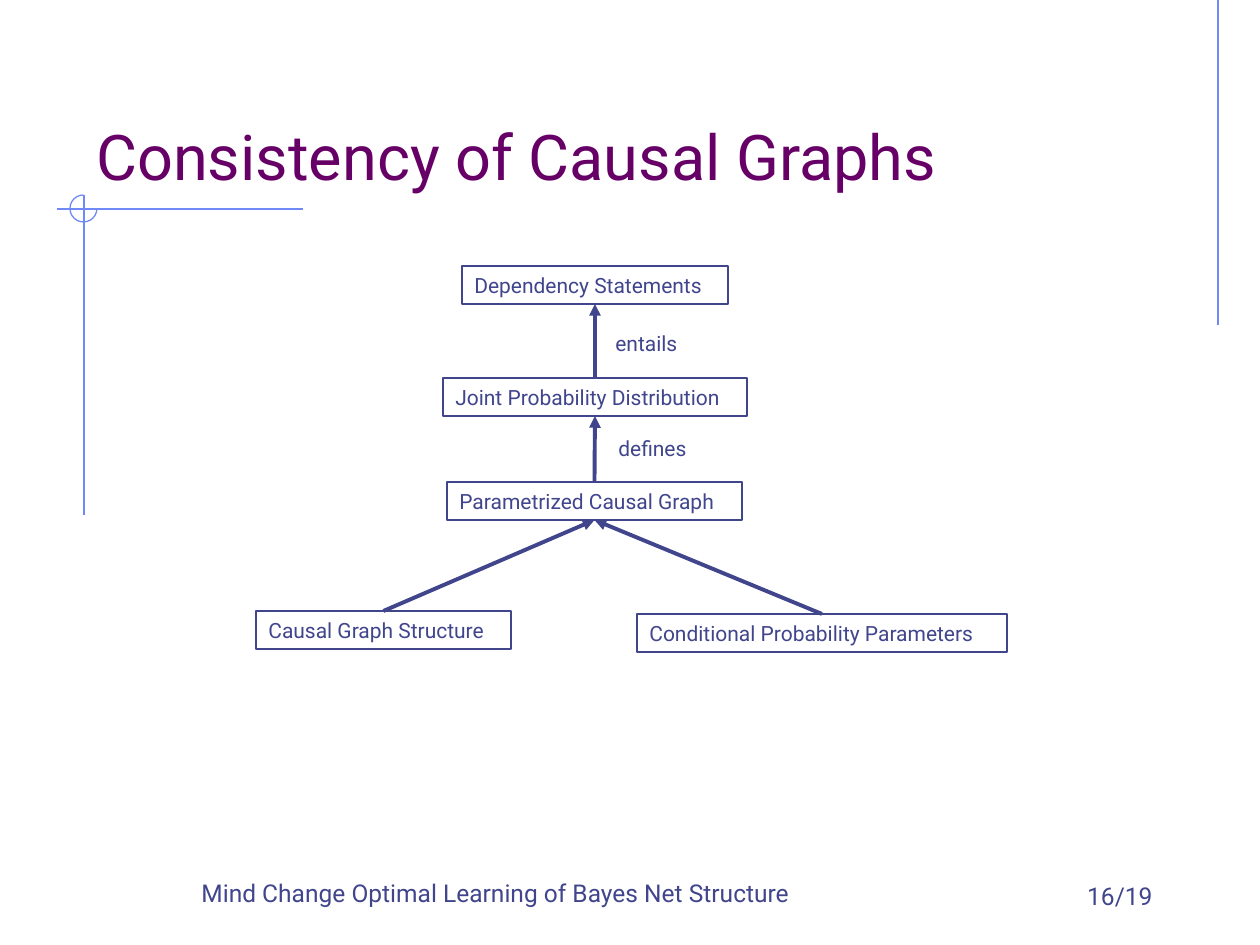
import pptx
import pptx.dml.color
import pptx.enum.shapes
import pptx.enum.text
import pptx.oxml
import pptx.util
from dataclasses import dataclass

SHAPE = pptx.enum.shapes.MSO_SHAPE
ALIGN = pptx.enum.text.PP_ALIGN
ANCHOR = pptx.enum.text.MSO_ANCHOR
NS = 'xmlns:a="http://schemas.openxmlformats.org/drawingml/2006/main"'


@dataclass(frozen=True)
class Theme:
    font: str = "Roboto"
    ink: str = "40458C"
    title: str = "660066"
    accent: str = "6F89F7"
    title_pt: int = 36
    footer_pt: int = 14
    body_pt: int = 12
    thin_pt: float = 0.75
    arrow_pt: float = 2.25


def px(n):
    """Pixels at 126 to the inch, as EMU."""
    return pptx.util.Emu(round(n * 914400 / 126))


def rgb(value):
    return pptx.dml.color.RGBColor.from_string(value)


def set_all(target, values):
    for name, value in values.items():
        setattr(target, name, value)


class Painter:
    def __init__(self, slide, theme):
        self.slide, self.theme = slide, theme

    def stroke(self, sp, color, width):
        sp.line.color.rgb = rgb(color)
        sp.line.width = pptx.util.Pt(width)

    def fill_text(self, sp, text, size, color, align=ALIGN.LEFT, anchor=ANCHOR.MIDDLE, wrap=True):
        tf = sp.text_frame
        set_all(tf, {"word_wrap": wrap, "vertical_anchor": anchor})
        p = tf.paragraphs[0]
        p.alignment = align
        r = p.add_run()
        r.text = text
        set_all(r.font, {"name": self.theme.font, "size": pptx.util.Pt(size)})
        r.font.color.rgb = rgb(color)

    def text(self, box, text, size, color, **layout):
        sp = self.slide.shapes.add_textbox(*map(px, box))
        self.fill_text(sp, text, size, color, **layout)

    def shape(self, kind, box, color):
        """An unfilled outline shape."""
        sp = self.slide.shapes.add_shape(kind, *map(px, box))
        sp.shadow.inherit = False
        sp.fill.background()
        self.stroke(sp, color, self.theme.thin_pt)
        return sp

    def node(self, box, text):
        sp = self.shape(SHAPE.RECTANGLE, box, self.theme.ink)
        self.fill_text(sp, text, self.theme.body_pt, self.theme.ink)

    def line(self, start, end, color, width):
        straight = pptx.enum.shapes.MSO_CONNECTOR.STRAIGHT
        sp = self.slide.shapes.add_connector(straight, *map(px, (*start, *end)))
        self.stroke(sp, color, width)
        sp._element.spPr.append(pptx.oxml.parse_xml(f"<a:effectLst {NS}/>"))
        return sp

    def arrow(self, start, end):
        sp = self.line(start, end, self.theme.ink, self.theme.arrow_pt)
        sp._element.spPr.get_or_add_ln().append(
            pptx.oxml.parse_xml(f'<a:tailEnd {NS} type="triangle"/>'))

    def corner_ring(self, box):
        """Three quarters of a circle, open at the upper right."""
        sp = self.shape(SHAPE.ARC, box, self.theme.accent)
        sp.adjustments[0] = 0
        sp.adjustments[1] = 162  # 270 degrees in units of 100000/60000


NODE_H = 38
NODES = {  # left, top, width
    "Causal Graph Structure": (256, 611, 255),
    "Conditional Probability Parameters": (637, 614, 370),
    "Parametrized Causal Graph": (447, 482, 295),
    "Joint Probability Distribution": (443, 378, 304),
    "Dependency Statements": (462, 266, 266),
}
EDGES = [
    ("Causal Graph Structure", "Parametrized Causal Graph"),
    ("Conditional Probability Parameters", "Parametrized Causal Graph"),
    ("Parametrized Causal Graph", "Joint Probability Distribution"),
    ("Joint Probability Distribution", "Dependency Statements"),
]
LABELS = {"entails": (603, 324, 89, NODE_H), "defines": (606, 429, 97, NODE_H)}
RULES = [((1218, 0), (1218, 325)), ((303, 209), (57, 209)), ((84, 195), (84, 515))]


def top_center(name):
    left, top, width = NODES[name]
    return left + width / 2, top


def bottom_center(name):
    x, top = top_center(name)
    return x, top + NODE_H


def main():
    prs = pptx.Presentation()
    set_all(prs, {"slide_width": px(1260), "slide_height": px(945)})
    theme = Theme()
    s = Painter(prs.slides.add_slide(prs.slide_layouts[6]), theme)

    for start, end in RULES:
        s.line(start, end, theme.accent, theme.thin_pt)
    s.corner_ring((70, 195, 27, 27))

    s.text((84, 42, 1071, 157), "Consistency of Causal Graphs",
           theme.title_pt, theme.title, anchor=ANCHOR.BOTTOM)
    s.text((149, 871, 693, 43), "Mind Change Optimal Learning of Bayes Net Structure",
           theme.footer_pt, theme.ink, align=ALIGN.CENTER, anchor=ANCHOR.BOTTOM)
    s.text((903, 874, 262, 43), "16/19",
           theme.footer_pt, theme.ink, align=ALIGN.RIGHT, anchor=ANCHOR.BOTTOM)

    for name, box in NODES.items():
        s.node((*box, NODE_H), name)
    for source, target in EDGES:
        s.arrow(top_center(source), bottom_center(target))
    for label, box in LABELS.items():
        s.text(box, label, theme.body_pt, theme.ink, wrap=False)

    prs.save("out.pptx")


if __name__ == "__main__":
    main()
